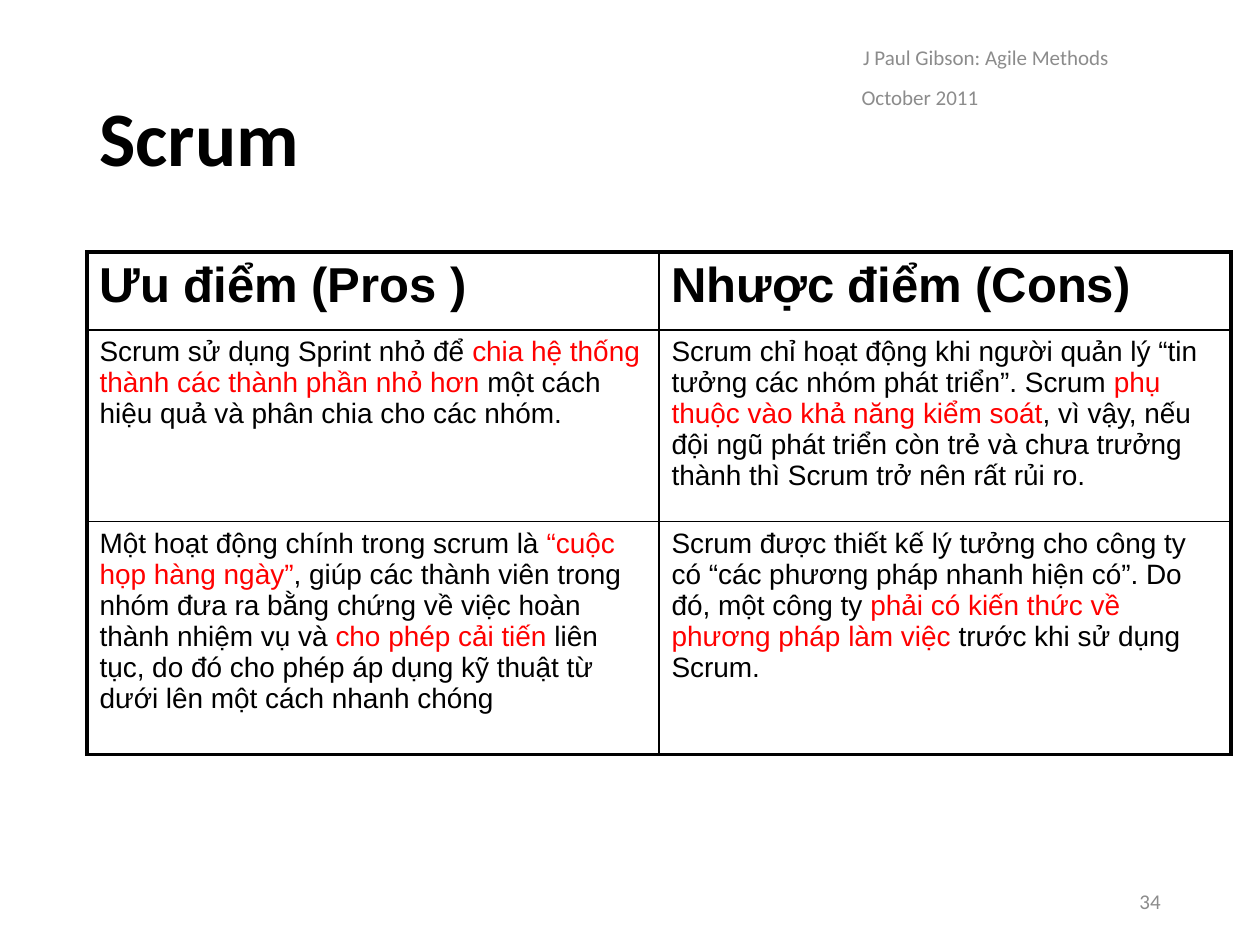
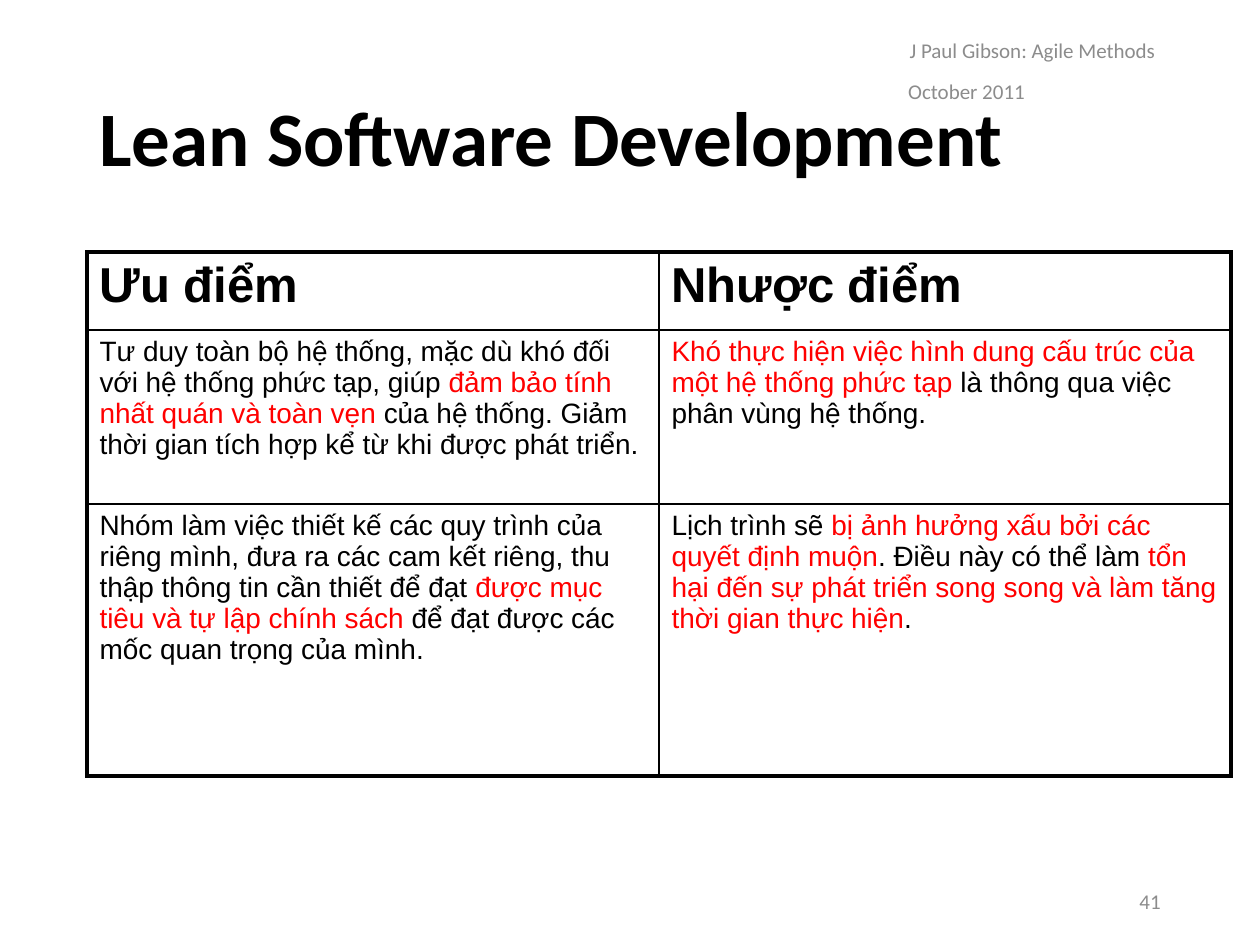
import pptx
import pptx.dml.color
import pptx.enum.text
import pptx.oxml
import pptx.oxml.ns
import pptx.util
from pptx.util import Inches

BLACK, RED, GREY = "000000", "FF0000", "8C8C8C"
HEADING_FONT, TABLE_FONT = "Calibri", "Arial"
OUTER_LINE, INNER_LINE = 2.25, 1
LEFT, TABLE_TOP, COLUMN_WIDTH = 0.69, 2, 4.54
ALIGN = pptx.enum.text.PP_ALIGN


def color(value):
    return pptx.dml.color.RGBColor.from_string(value)


def write(tf, text, size, font=HEADING_FONT, fill=BLACK, bold=False,
          align=ALIGN.LEFT, spacing=1.0):
    """Fill a text frame; parts between asterisks turn red."""
    tf.word_wrap = True
    p = tf.paragraphs[0]
    p.alignment = align
    p.line_spacing = spacing
    for i, part in enumerate(text.split("*")):
        if part:
            r = p.add_run()
            r.text = part
            r.font.name = font
            r.font.size = pptx.util.Pt(size)
            r.font.bold = bold
            r.font.color.rgb = color(RED if i % 2 else fill)


def set_borders(cell, widths):
    """Draw cell borders; widths are points for left, right, top, bottom."""
    tc_pr = cell._tc.get_or_add_tcPr()
    for i, (side, width) in enumerate(zip("LRTB", widths)):
        line = pptx.oxml.parse_xml(
            f'<a:ln{side} {pptx.oxml.ns.nsdecls("a")} w="{pptx.util.Pt(width)}">'
            f'<a:solidFill><a:srgbClr val="{BLACK}"/></a:solidFill></a:ln{side}>')
        tc_pr.insert(i, line)


class Deck:
    def __init__(self):
        self.prs = pptx.Presentation()
        self.prs.slide_width = Inches(10)
        self.prs.slide_height = Inches(7.5)
        self.s = None

    def new_slide(self):
        self.s = self.prs.slides.add_slide(self.prs.slide_layouts[6])

    def text(self, text, left, top, width, height=0.4, size=12, **style):
        sp = self.s.shapes.add_textbox(*map(Inches, (left, top, width, height)))
        sp.text_frame.vertical_anchor = pptx.enum.text.MSO_ANCHOR.MIDDLE
        write(sp.text_frame, text, size, **style)

    def title(self, text):
        self.text(text, LEFT, 0.4, 8.62, 1.45, size=44, bold=True, spacing=0.9)

    def course_header(self, left, top):
        self.text("J Paul Gibson: Agile Methods", left, top, 3.17,
                  fill=GREY, align=ALIGN.CENTER)
        self.text("October 2011", left + 0.5, top + 0.32, 2.33, fill=GREY)

    def page_number(self, number):
        self.text(str(number), 7.06, 6.95, 2.25, fill=GREY, align=ALIGN.RIGHT)

    def table(self, rows, heights):
        row_count, col_count = len(rows), len(rows[0])
        table = self.s.shapes.add_table(
            row_count, col_count, Inches(LEFT), Inches(TABLE_TOP),
            Inches(COLUMN_WIDTH * col_count), Inches(sum(heights))).table
        table.first_row = table.horz_banding = False
        for column in table.columns:
            column.width = Inches(COLUMN_WIDTH)
        for i, (texts, height) in enumerate(zip(rows, heights)):
            table.rows[i].height = Inches(height)
            for j, text in enumerate(texts):
                cell = table.cell(i, j)
                cell.fill.background()
                write(cell.text_frame, text, 16 if i else 28,
                      font=TABLE_FONT, bold=i == 0)
                edges = (j == 0, j == col_count - 1, i == 0, i == row_count - 1)
                set_borders(cell, [OUTER_LINE if edge else INNER_LINE
                                   for edge in edges])


SLIDES = [
    dict(title="Scrum", page=34, header=(6.24, 0.25), heights=(0.62, 1.52, 1.85), rows=[
        ("Ưu điểm (Pros )", "Nhược điểm (Cons)"),
        ("Scrum sử dụng Sprint nhỏ để *chia hệ thống thành các thành phần nhỏ hơn *"
         "một cách hiệu quả và phân chia cho các nhóm.",
         "Scrum chỉ hoạt động khi người quản lý “tin tưởng các nhóm phát triển”. "
         "Scrum *phụ thuộc vào khả năng kiểm soát*, vì vậy, nếu đội ngũ phát triển "
         "còn trẻ và chưa trưởng thành thì Scrum trở nên rất rủi ro."),
        ("Một hoạt động chính trong scrum là *“cuộc họp hàng ngày”*, giúp các thành "
         "viên trong nhóm đưa ra bằng chứng về việc hoàn thành nhiệm vụ và "
         "*cho phép cải tiến *liên tục, do đó cho phép áp dụng kỹ thuật từ dưới lên "
         "một cách nhanh chóng",
         "Scrum được thiết kế lý tưởng cho công ty có “các phương pháp nhanh hiện "
         "có”. Do đó, một công ty *phải có kiến thức về phương pháp làm việc *"
         "trước khi sử dụng Scrum."),
    ]),
    dict(title="Lean Software Development", page=41, header=(6.61, 0.2),
         heights=(0.62, 1.38, 2.16), rows=[
        ("Ưu điểm", "Nhược điểm"),
        ("Tư duy toàn bộ hệ thống, mặc dù khó đối với hệ thống phức tạp, giúp "
         "*đảm bảo tính nhất quán và toàn vẹn *của hệ thống. Giảm thời gian tích "
         "hợp kể từ khi được phát triển.",
         "*Khó thực hiện việc hình dung cấu trúc của một hệ thống phức tạp* là "
         "thông qua việc phân vùng hệ thống."),
        ("Nhóm làm việc thiết kế các quy trình của riêng mình, đưa ra các cam kết "
         "riêng, thu thập thông tin cần thiết để đạt *được mục tiêu và tự lập chính "
         "sách* để đạt được các mốc quan trọng của mình.",
         "Lịch trình sẽ *bị ảnh hưởng xấu bởi các quyết định muộn*. Điều này có thể "
         "làm *tổn hại đến sự phát triển song song và làm tăng thời gian thực hiện*."),
    ]),
]


def main():
    deck = Deck()
    for content in SLIDES:
        deck.new_slide()
        deck.title(content["title"])
        deck.page_number(content["page"])
        deck.table(content["rows"], content["heights"])
        deck.course_header(*content["header"])
    deck.prs.save("out.pptx")


if __name__ == "__main__":
    main()
